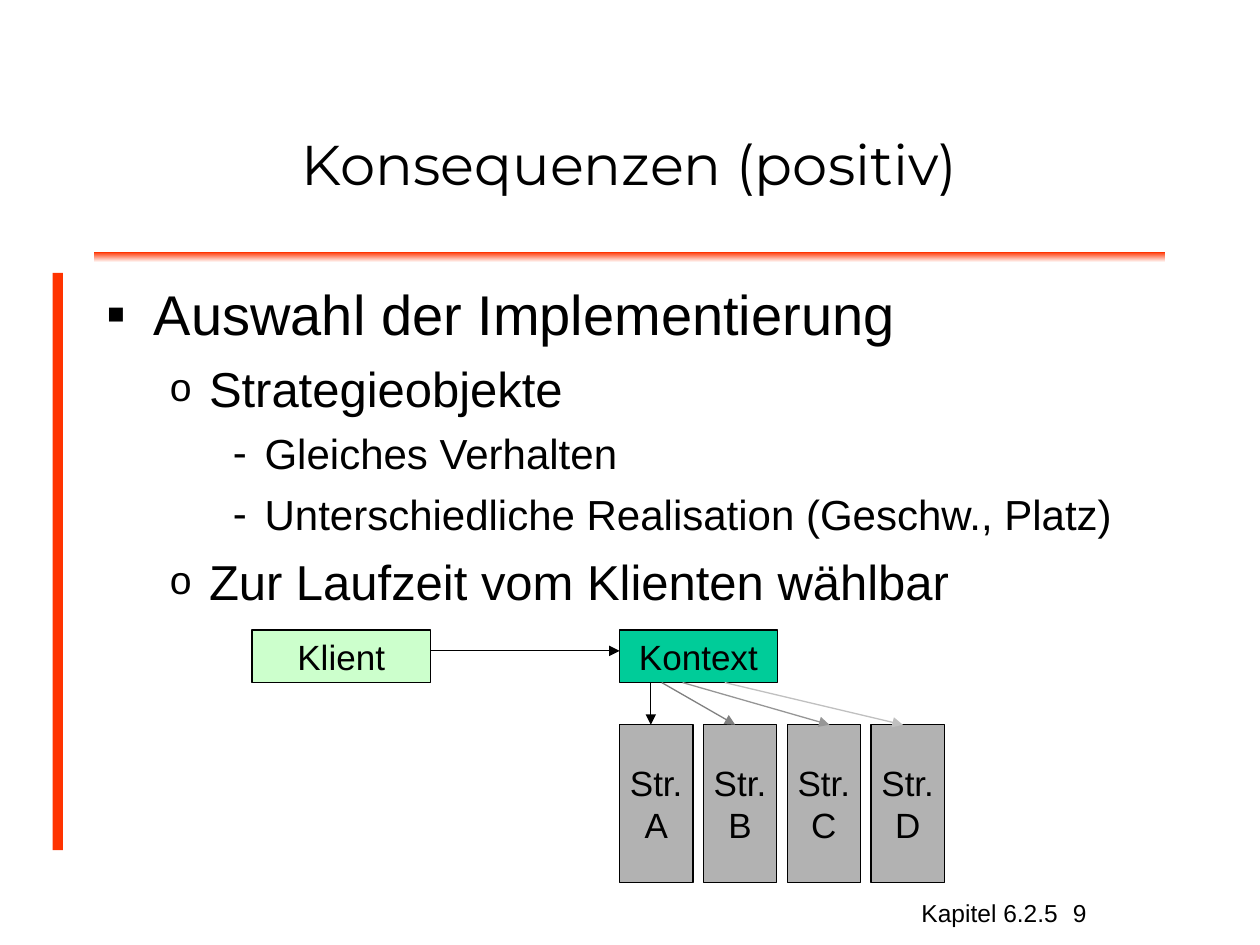
from dataclasses import dataclass

from lxml.etree import SubElement
from pptx import Presentation
from pptx.dml.color import RGBColor
from pptx.enum.shapes import MSO_CONNECTOR, MSO_SHAPE
from pptx.enum.text import MSO_ANCHOR, MSO_AUTO_SIZE, PP_ALIGN
from pptx.oxml.ns import qn
from pptx.shapes.autoshape import Shape
from pptx.slide import Slide
from pptx.text.text import _Paragraph as Paragraph
from pptx.util import Cm, Pt


@dataclass(frozen=True)
class Theme:
    heading_font: str = "Montserrat"
    body_font: str = "Arial"
    ink: str = "000000"
    paper: str = "FFFFFF"
    accent: str = "FF3300"
    client: str = "CCFFCC"
    context: str = "00CC99"
    strategy: str = "B2B2B2"
    title_size: int = 32
    label_size: int = 20
    footer_size: int = 14
    line_width: float = 0.75


@dataclass(frozen=True)
class Area:
    left: float
    top: float
    width: float
    height: float

    def lengths(self) -> tuple[Cm, Cm, Cm, Cm]:
        return Cm(self.left), Cm(self.top), Cm(self.width), Cm(self.height)


@dataclass(frozen=True)
class Level:
    bullet: str
    bullet_percent: int
    size: int
    space: int
    indent: float
    hanging: float


@dataclass(frozen=True)
class Item:
    level: int
    text: str


@dataclass(frozen=True)
class Node:
    lines: tuple[str, ...]
    area: Area
    fill: str


@dataclass(frozen=True)
class Arrow:
    start: tuple[float, float]
    end: tuple[float, float]
    color: str


THEME = Theme()

LEVELS = (
    Level("▪", 100, 32, 8, 0.95, 0.95),
    Level("o", 80, 28, 7, 2.06, 0.79),
    Level("-", 100, 24, 6, 3.18, 0.64),
)

ITEMS = (
    Item(0, "Auswahl der Implementierung"),
    Item(1, "Strategieobjekte"),
    Item(2, "Gleiches Verhalten"),
    Item(2, "Unterschiedliche Realisation (Geschw., Platz)"),
    Item(1, "Zur Laufzeit vom Klienten wählbar"),
)

CONTEXT_LEFT = 12.49
CONTEXT_BOTTOM = 13.76
STRATEGY_TOP = 14.61
STRATEGY_STEP = 1.69

NODES = (
    Node(("Klient",), Area(5.08, 12.7, 3.6, 1.06), THEME.client),
    Node(("Kontext",), Area(CONTEXT_LEFT, 12.7, 3.18, 1.06), THEME.context),
) + tuple(
    Node(
        ("Str.", letter),
        Area(CONTEXT_LEFT + index * STRATEGY_STEP, STRATEGY_TOP, 1.48, 3.18),
        THEME.strategy,
    )
    for index, letter in enumerate("ABCD")
)

ARROWS = (Arrow((8.68, 13.12), (CONTEXT_LEFT, 13.12), THEME.ink),) + tuple(
    Arrow((start, CONTEXT_BOTTOM), (end, STRATEGY_TOP), color)
    for start, end, color in (
        (13.12, 13.12, THEME.ink),
        (13.34, 14.82, "808080"),
        (13.76, 16.72, "969696"),
        (14.61, 18.2, "C0C0C0"),
    )
)


def rgb(color: str) -> RGBColor:
    return RGBColor.from_string(color)


def add_span(para: Paragraph, text: str, size: int, font: str = THEME.body_font) -> None:
    span = para.add_run()
    span.text = text
    span.font.size = Pt(size)
    span.font.name = font
    span.font.color.rgb = rgb(THEME.ink)


def place(box: Shape, area: Area) -> None:
    box.left, box.top, box.width, box.height = area.lengths()


def add_rectangle(page: Slide, area: Area) -> Shape:
    box = page.shapes.add_shape(MSO_SHAPE.RECTANGLE, *area.lengths())
    box.shadow.inherit = False
    return box


def add_frame_bars(page: Slide) -> None:
    side = add_rectangle(page, Area(1.06, 5.5, 0.21, 11.64))
    side.fill.solid()
    side.fill.fore_color.rgb = rgb(THEME.accent)
    side.line.fill.background()
    rule = add_rectangle(page, Area(1.9, 5.08, 21.59, 0.21))
    rule.fill.gradient()
    rule.fill.gradient_angle = 90
    for stop, color in zip(rule.fill.gradient_stops, (THEME.paper, THEME.accent)):
        stop.color.rgb = rgb(color)
    rule.line.fill.background()


def fill_title(page: Slide, text: str) -> None:
    title = page.shapes.title
    place(title, Area(1.9, 1.69, 21.59, 3.18))
    frame = title.text_frame
    frame.auto_size = MSO_AUTO_SIZE.NONE
    frame.vertical_anchor = MSO_ANCHOR.MIDDLE
    para = frame.paragraphs[0]
    para.alignment = PP_ALIGN.CENTER
    add_span(para, text, THEME.title_size, THEME.heading_font)


def set_bullet(para: Paragraph, level: Level) -> None:
    properties = para._p.get_or_add_pPr()
    properties.set("marL", str(Cm(level.indent)))
    properties.set("indent", str(-Cm(level.hanging)))
    color = SubElement(properties, qn("a:buClr"))
    SubElement(color, qn("a:srgbClr"), val=THEME.ink)
    SubElement(properties, qn("a:buSzPct"), val=str(level.bullet_percent * 1000))
    SubElement(properties, qn("a:buFont"), typeface=THEME.body_font)
    SubElement(properties, qn("a:buChar"), char=level.bullet)


def fill_body(page: Slide, items: tuple[Item, ...]) -> None:
    body = page.placeholders[1]
    place(body, Area(1.9, 5.5, 21.59, 6.99))
    frame = body.text_frame
    frame.auto_size = MSO_AUTO_SIZE.NONE
    for index, item in enumerate(items):
        level = LEVELS[item.level]
        para = frame.add_paragraph() if index else frame.paragraphs[0]
        para.level = item.level
        set_bullet(para, level)
        para.space_before = Pt(level.space if index else 0)
        add_span(para, item.text, level.size)


def add_node(page: Slide, node: Node) -> None:
    box = add_rectangle(page, node.area)
    box.fill.solid()
    box.fill.fore_color.rgb = rgb(node.fill)
    box.line.color.rgb = rgb(THEME.ink)
    box.line.width = Pt(THEME.line_width)
    frame = box.text_frame
    frame.word_wrap = False
    frame.vertical_anchor = MSO_ANCHOR.MIDDLE
    for index, line in enumerate(node.lines):
        para = frame.add_paragraph() if index else frame.paragraphs[0]
        para.alignment = PP_ALIGN.CENTER
        add_span(para, line, THEME.label_size)


def add_arrow(page: Slide, arrow: Arrow) -> None:
    points = [Cm(value) for value in arrow.start + arrow.end]
    connector = page.shapes.add_connector(MSO_CONNECTOR.STRAIGHT, *points)
    connector.line.color.rgb = rgb(arrow.color)
    connector.line.width = Pt(THEME.line_width)
    SubElement(connector.line._get_or_add_ln(), qn("a:tailEnd"), type="triangle")
    SubElement(connector._element.spPr, qn("a:effectLst"))


def add_footer(page: Slide, text: str, area: Area, alignment: PP_ALIGN) -> None:
    box = page.shapes.add_textbox(*area.lengths())
    box.text_frame.word_wrap = True
    para = box.text_frame.paragraphs[0]
    para.alignment = alignment
    add_span(para, text, THEME.footer_size)


def main() -> None:
    deck = Presentation()
    deck.slide_width, deck.slide_height = Cm(25.4), Cm(19.05)
    page = deck.slides.add_slide(deck.slide_layouts[1])
    add_frame_bars(page)
    fill_title(page, "Konsequenzen (positiv)")
    fill_body(page, ITEMS)
    for node in NODES:
        add_node(page, node)
    for arrow in ARROWS:
        add_arrow(page, arrow)
    add_footer(page, "Kapitel 6.2.5", Area(17.98, 17.98, 3.6, 0.64), PP_ALIGN.RIGHT)
    add_footer(page, "9", Area(21.38, 17.98, 2.12, 1.45), PP_ALIGN.LEFT)
    deck.save("out.pptx")


if __name__ == "__main__":
    main()
